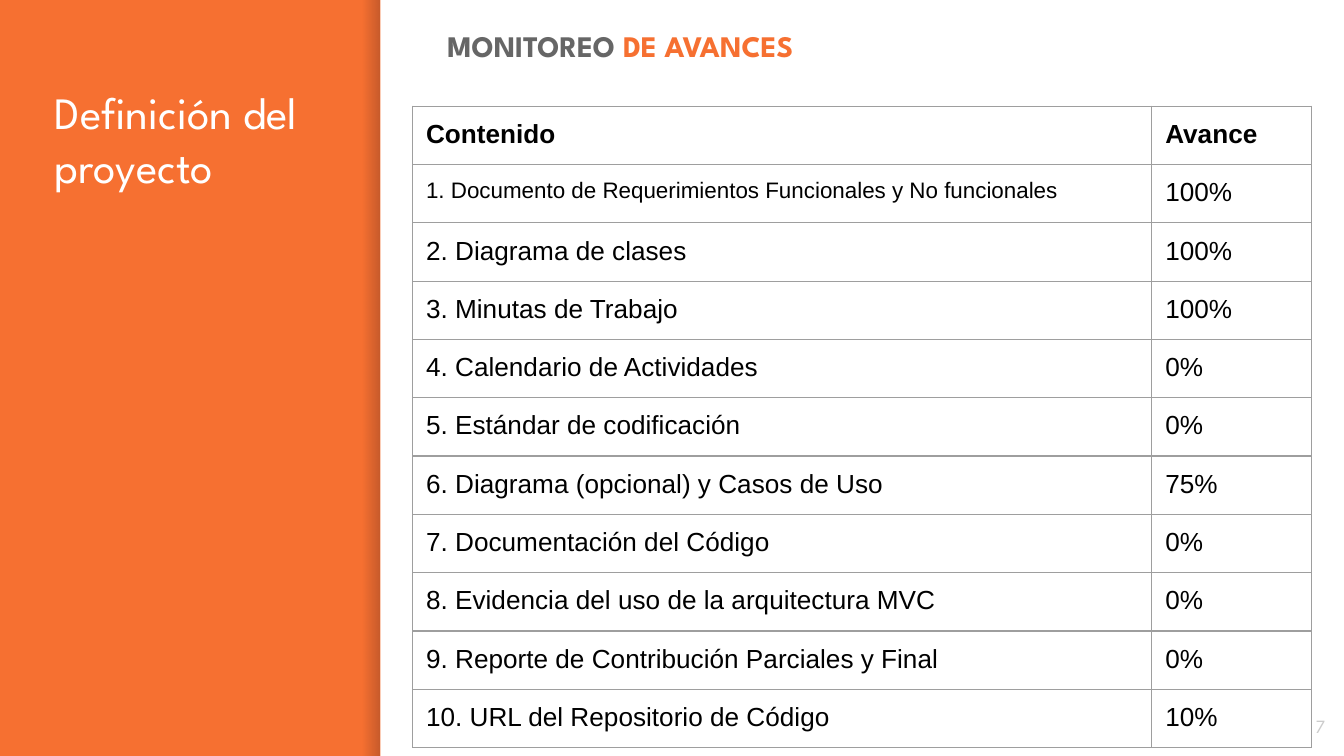
from dataclasses import dataclass

from lxml import etree
from pptx import Presentation
from pptx.dml.color import RGBColor
from pptx.enum.shapes import MSO_SHAPE
from pptx.enum.text import MSO_ANCHOR, PP_ALIGN
from pptx.oxml.ns import qn
from pptx.util import Inches, Pt

RECT = MSO_SHAPE.RECTANGLE
TOP, MIDDLE = MSO_ANCHOR.TOP, MSO_ANCHOR.MIDDLE
LEFT, RIGHT = PP_ALIGN.LEFT, PP_ALIGN.RIGHT


@dataclass(frozen=True)
class Theme:
    orange: str = "F67031"
    white: str = "FFFFFF"
    gray: str = "666666"
    pale: str = "CCCCCC"
    black: str = "000000"
    shade: str = "000014"
    border: str = "9E9E9E"
    display: str = "League Spartan"
    body: str = "Arial"
    title: int = 24
    heading: int = 16
    cell: int = 14
    small: int = 12
    number: int = 10
    border_width: float = 0.75
    inset: float = 0.1


class Deck:
    def __init__(self, theme, slide):
        self.theme = theme
        self.s = slide

    def background(self, color):
        fill = self.s.background.fill
        fill.solid()
        fill.fore_color.rgb = RGBColor.from_string(color)

    def rect(self, box):
        sp = self.s.shapes.add_shape(RECT, *map(Inches, box))
        sp.shadow.inherit = False
        sp.line.fill.background()
        return sp

    def panel(self, box, color):
        fill = self.rect(box).fill
        fill.solid()
        fill.fore_color.rgb = RGBColor.from_string(color)

    def shadow(self, box, color, alphas):
        sp = self.rect(box)
        sp.fill.gradient()
        sp.fill.gradient_angle = 0
        for stop in sp.fill.gradient_stops:
            stop.color.rgb = RGBColor.from_string(color)
        for clr, alpha in zip(sp.element.spPr.iter(qn("a:srgbClr")), alphas):
            etree.SubElement(clr, qn("a:alpha"), val=str(alpha * 1000))

    def insets(self, target):
        for side in ("left", "right", "top", "bottom"):
            setattr(target, f"margin_{side}", Inches(self.theme.inset))

    def run(self, p, text, font, size, color, bold=False):
        r = p.add_run()
        r.text = text
        for name, value in {"name": font, "size": Pt(size), "bold": bold}.items():
            setattr(r.font, name, value)
        r.font.color.rgb = RGBColor.from_string(color)

    def text(self, box, runs, size, bold=False, anchor=TOP, **paragraph):
        tf = self.s.shapes.add_textbox(*map(Inches, box)).text_frame
        tf.word_wrap = True
        tf.vertical_anchor = anchor
        self.insets(tf)
        p = tf.paragraphs[0]
        for name, value in paragraph.items():
            setattr(p, name, value)
        for text, color in runs:
            self.run(p, text, self.theme.display, size, color, bold)

    def borders(self, cell):
        tc_pr = cell._tc.get_or_add_tcPr()
        for side in ("lnL", "lnR", "lnT", "lnB"):
            ln = etree.SubElement(tc_pr, qn(f"a:{side}"), w=str(Pt(self.theme.border_width)))
            fill = etree.SubElement(ln, qn("a:solidFill"))
            etree.SubElement(fill, qn("a:srgbClr"), val=self.theme.border)

    def table(self, box, widths, heights, rows, small_cells):
        t = self.theme
        frame = self.s.shapes.add_table(len(rows), len(widths), *map(Inches, box))
        table = frame.table
        table.horz_banding = False
        for column, width in zip(table.columns, widths):
            column.width = Inches(width)
        for i, (row, height) in enumerate(zip(rows, heights)):
            table.rows[i].height = Inches(height)
            for j, text in enumerate(row):
                cell = table.cell(i, j)
                self.insets(cell)
                self.borders(cell)
                cell.fill.background()
                size = t.small if (i, j) in small_cells else t.cell
                self.run(cell.text_frame.paragraphs[0], text, t.body, size, t.black, i == 0)
        frame.height = Inches(box[3])


PROGRESS = [
    ("Documento de Requerimientos Funcionales y No funcionales", 100),
    ("Diagrama de clases", 100),
    ("Minutas de Trabajo", 100),
    ("Calendario de Actividades", 0),
    ("Estándar de codificación", 0),
    ("Diagrama (opcional) y Casos de Uso", 75),
    ("Documentación del Código", 0),
    ("Evidencia del uso de la arquitectura MVC", 0),
    ("Reporte de Contribución Parciales y Final", 0),
    ("URL del Repositorio de Código", 10),
]


def main():
    prs = Presentation()
    prs.slide_width = Inches(10)
    prs.slide_height = prs.slide_width * 9 // 16
    t = Theme()
    deck = Deck(t, prs.slides.add_slide(prs.slide_layouts[6]))
    height = prs.slide_height / Inches(1)

    deck.background(t.orange)
    deck.shadow((2.7, 0, 0.12, height), t.shade, (0, 20))
    deck.panel((2.83, 0, 7.17, height), t.white)
    deck.text((0.31, 0.53, 2.24, 4.35), [("Definición del proyecto", t.white)], t.title)
    deck.text((3.23, 0.07, 5.98, 4.13),
              [("MONITOREO ", t.gray), ("DE AVANCES", t.orange)], t.heading, bold=True,
              alignment=LEFT, line_spacing=1.15, space_before=Pt(6))
    deck.text((9.36, 5.19, 0.6, 0.43), [("7", t.pale)], t.number,
              anchor=MIDDLE, alignment=RIGHT)

    rows = [("Contenido", "Avance")]
    rows += [(f"{n}. {name}", f"{done}%") for n, (name, done) in enumerate(PROGRESS, 1)]
    heights = [0.31] * len(rows)
    heights[2] = 0.43
    deck.table((3.07, 0.79, 6.7, 4.77), (5.5, 1.19), heights, rows, small_cells={(1, 0)})

    prs.save("out.pptx")


if __name__ == "__main__":
    main()
